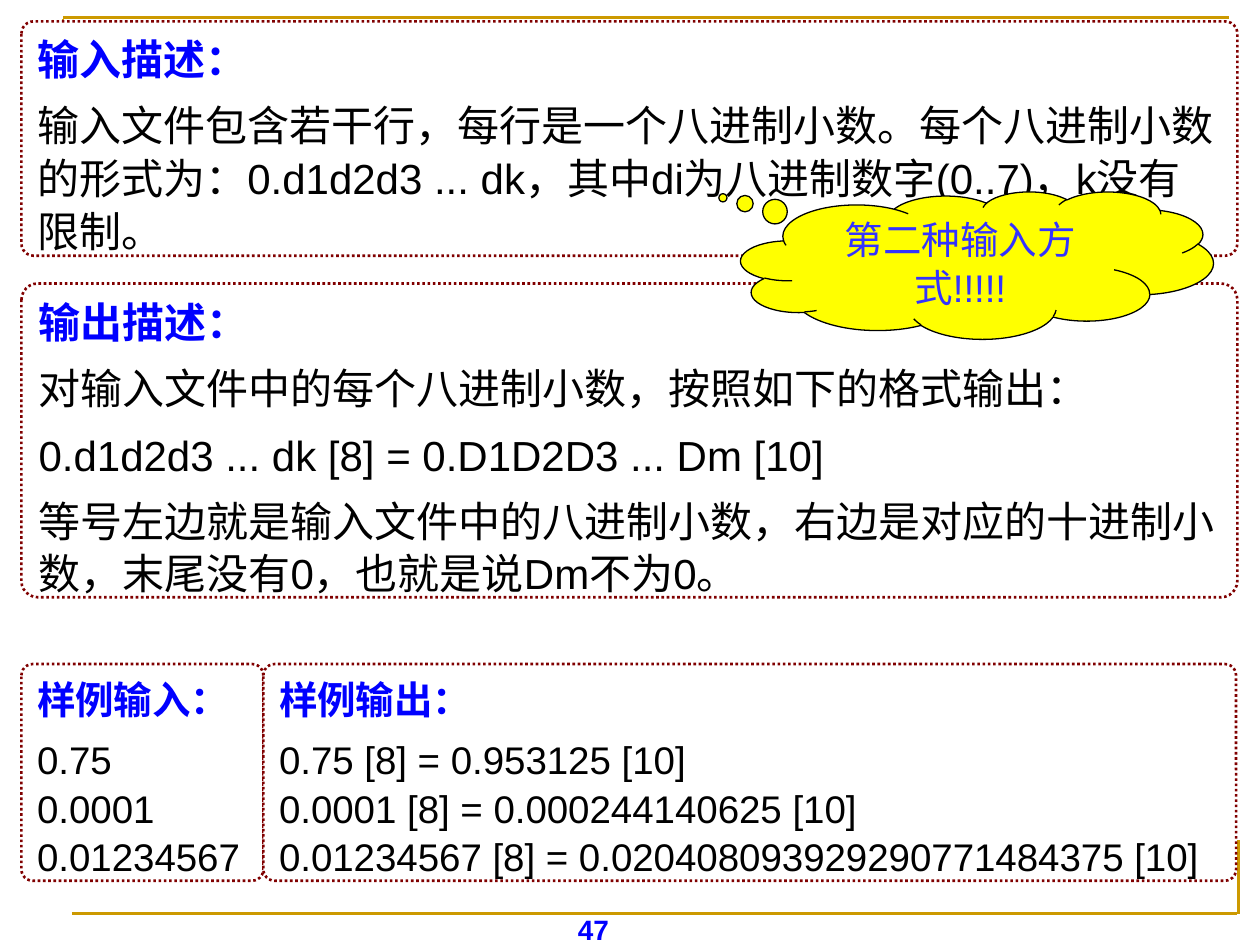
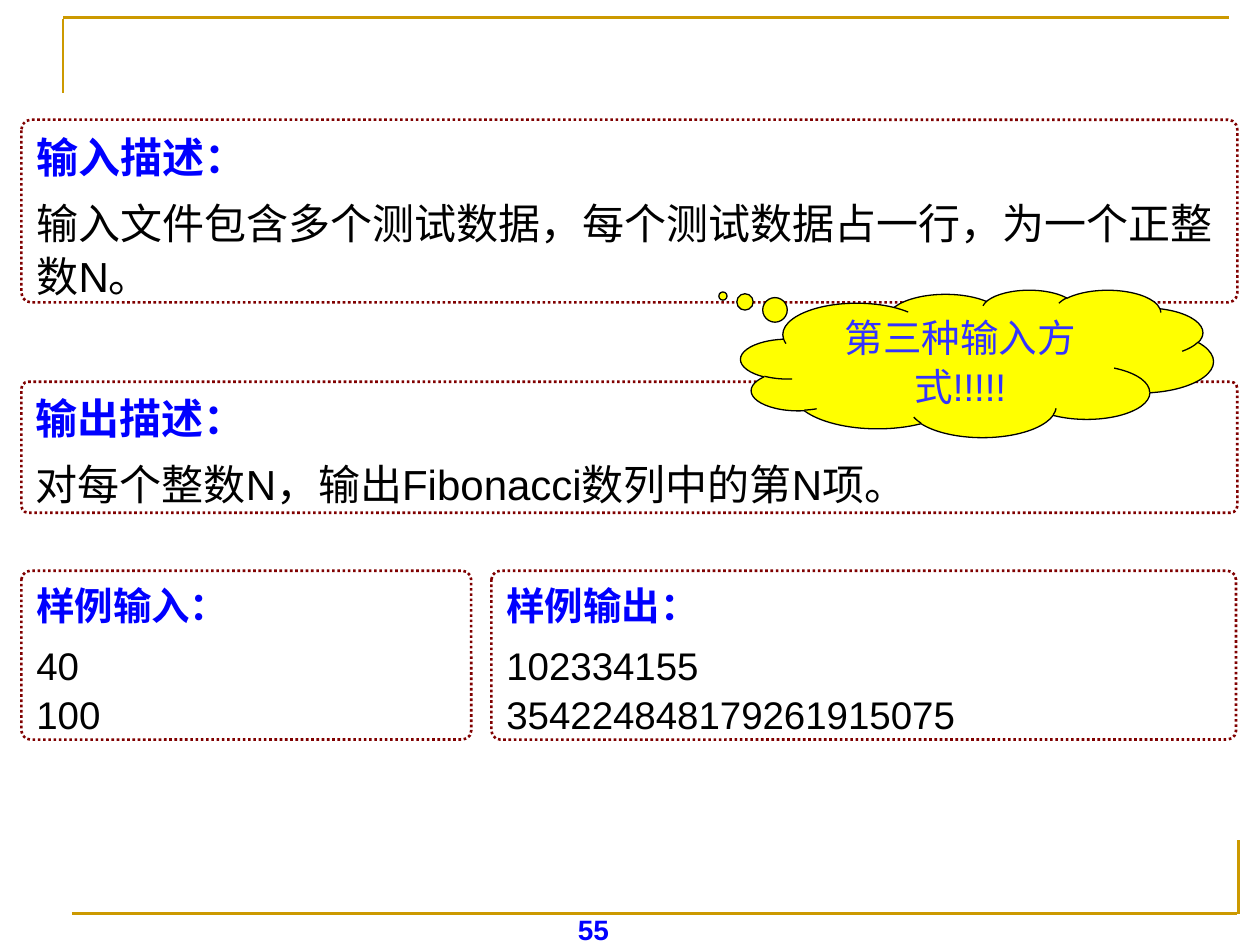
from dataclasses import dataclass

from pptx import Presentation
from pptx.dml.color import RGBColor
from pptx.enum.dml import MSO_LINE_DASH_STYLE as Dash
from pptx.enum.shapes import MSO_CONNECTOR as Connector, MSO_SHAPE as Shape
from pptx.enum.text import MSO_ANCHOR as Anchor, MSO_AUTO_SIZE as AutoSize, PP_ALIGN as Align
from pptx.oxml.ns import qn
from pptx.slide import Slide
from pptx.util import Inches, Pt

WHITE = RGBColor(0xFF, 0xFF, 0xFF)
BLACK = RGBColor(0x00, 0x00, 0x00)
GOLD = RGBColor(0xCC, 0x99, 0x00)
MAROON = RGBColor(0x80, 0x00, 0x00)
BLUE = RGBColor(0x00, 0x00, 0xFF)
VIOLET = RGBColor(0x33, 0x33, 0xFF)
YELLOW = RGBColor(0xFF, 0xFF, 0x00)

FONT = "Arial"
LINE_SPACING = 1.05
CARD_LEFT, CARD_WIDTH = 0.17, 9.65
SAMPLE_RIGHT = 9.81

# Frame lines: x1, y1, x2, y2
FRAME_LINES = [
    (0.5, 0.15, 0.5, 0.74),
    (0.5, 0.14, 9.75, 0.14),
    (9.83, 6.67, 9.83, 7.25),
    (0.57, 7.25, 9.82, 7.25),
]


@dataclass(frozen=True)
class TextStyle:
    size: float
    color: RGBColor
    bold: bool = False
    align: Align = Align.LEFT
    space_after: float = 0


@dataclass(frozen=True)
class CardStyle:
    heading: TextStyle
    body: TextStyle


@dataclass(frozen=True)
class Card:
    heading: str
    lines: list[str]
    left: float
    top: float
    width: float
    height: float
    style: CardStyle


@dataclass(frozen=True)
class Problem:
    page: str
    cards: list[Card]
    hint: str
    hint_top: float


DESCRIPTION = CardStyle(TextStyle(24, BLUE, True, space_after=7.5),
                        TextStyle(24, BLACK, space_after=7.5))
SAMPLE = CardStyle(TextStyle(22, BLUE, True, space_after=6.9), TextStyle(22, BLACK))
PAGE_NUMBER = TextStyle(16, BLUE, True, Align.CENTER)
HINT = TextStyle(22, VIOLET, align=Align.CENTER)


def description(heading: str, top: float, height: float, lines: list[str]) -> Card:
    return Card(heading, lines, CARD_LEFT, top, CARD_WIDTH, height, DESCRIPTION)


def samples(top: float, height: float, input_width: float, output_left: float,
            inputs: list[str], outputs: list[str]) -> list[Card]:
    return [
        Card("样例输入：", inputs, CARD_LEFT, top, input_width, height, SAMPLE),
        Card("样例输出：", outputs, output_left, top, SAMPLE_RIGHT - output_left, height, SAMPLE),
    ]


PROBLEMS = [
    Problem("47", [
        description("输出描述：", 2.25, 2.49, [
            "对输入文件中的每个八进制小数，按照如下的格式输出：",
            "0.d1d2d3 ... dk [8] = 0.D1D2D3 ... Dm [10]",
            "等号左边就是输入文件中的八进制小数，右边是对应的十进制小数，末尾没有0，也就是说Dm不为0。",
        ]),
        *samples(5.27, 1.72, 1.92, 2.09,
                 ["0.75", "0.0001", "0.01234567"],
                 ["0.75 [8] = 0.953125 [10]",
                  "0.0001 [8] = 0.000244140625 [10]",
                  "0.01234567 [8] = 0.020408093929290771484375 [10]"]),
        description("输入描述：", 0.17, 1.86, [
            "输入文件包含若干行，每行是一个八进制小数。每个八进制小数的形式为："
            "0.d1d2d3 ... dk，其中di为八进制数字(0..7)，k没有限制。",
        ]),
    ], "第二种输入方式!!!!!", 1.52),
    Problem("55", [
        description("输出描述：", 3.03, 1.04, ["对每个整数N，输出Fibonacci数列中的第N项。"]),
        *samples(4.53, 1.34, 3.57, 3.9,
                 ["40", "100"], ["102334155", "354224848179261915075"]),
        description("输入描述：", 0.95, 1.45, [
            "输入文件包含多个测试数据，每个测试数据占一行，为一个正整数N。",
        ]),
    ], "第三种输入方式!!!!!", 2.3),
]


def write(frame, texts: list[tuple[str, TextStyle]], inset_x: float = 0.1,
          inset_y: float = 0.05) -> None:
    frame_format = {
        "word_wrap": True, "vertical_anchor": Anchor.TOP,
        "margin_left": Inches(inset_x), "margin_right": Inches(inset_x),
        "margin_top": Inches(inset_y), "margin_bottom": Inches(inset_y),
    }
    for name, value in frame_format.items():
        setattr(frame, name, value)
    for index, (text, style) in enumerate(texts):
        paragraph = frame.paragraphs[0] if index == 0 else frame.add_paragraph()
        paragraph.alignment = style.align
        paragraph.line_spacing = LINE_SPACING
        paragraph.space_after = Pt(style.space_after)
        run = paragraph.add_run()
        run.text = text
        font_format = {"name": FONT, "size": Pt(style.size), "bold": style.bold}
        for name, value in font_format.items():
            setattr(run.font, name, value)
        run.font.color.rgb = style.color
        # East Asian characters use the same typeface
        east_asian = run.font._element.makeelement(qn("a:ea"), {"typeface": FONT})
        run.font._element.find(qn("a:latin")).addnext(east_asian)


def add_outlined(slide: Slide, kind: Shape, box: tuple[float, ...], fill: RGBColor,
                 line: RGBColor, weight: float, adjustments: list[float]):
    shape = slide.shapes.add_shape(kind, *map(Inches, box))
    shape.shadow.inherit = False
    shape.fill.solid()
    shape.fill.fore_color.rgb = fill
    shape.line.color.rgb = line
    shape.line.width = Pt(weight)
    for index, value in enumerate(adjustments):
        shape.adjustments[index] = value
    return shape


def add_frame(slide: Slide, page: str) -> None:
    for ends in FRAME_LINES:
        rule = slide.shapes.add_connector(Connector.STRAIGHT, *map(Inches, ends))
        rule.line.color.rgb = GOLD
        rule.line.width = Pt(1.5)
        properties = rule._element.spPr
        properties.append(properties.makeelement(qn("a:effectLst"), {}))
    footer = slide.shapes.add_textbox(Inches(3.67), Inches(7.18), Inches(2.08), Inches(0.25))
    write(footer.text_frame, [(page, PAGE_NUMBER)])


def add_card(slide: Slide, card: Card) -> None:
    panel = add_outlined(slide, Shape.ROUNDED_RECTANGLE,
                         (card.left, card.top, card.width, card.height),
                         WHITE, MAROON, 1.5, [0.052])
    panel.line.dash_style = Dash.ROUND_DOT
    write(panel.text_frame, [(card.heading, card.style.heading),
                             *((line, card.style.body) for line in card.lines)])
    panel.text_frame.auto_size = AutoSize.SHAPE_TO_FIT_TEXT


def add_hint(slide: Slide, text: str, top: float) -> None:
    cloud = add_outlined(slide, Shape.CLOUD_CALLOUT, (5.88, top, 3.75, 1.17),
                         YELLOW, BLACK, 0.75, [-0.538, -0.457])
    write(cloud.text_frame, [(text, HINT)], 0, 0)


def main() -> None:
    deck = Presentation()
    deck.slide_width, deck.slide_height = Inches(10), Inches(7.5)
    for problem in PROBLEMS:
        slide = deck.slides.add_slide(deck.slide_layouts[6])
        add_frame(slide, problem.page)
        for card in problem.cards:
            add_card(slide, card)
        add_hint(slide, problem.hint, problem.hint_top)
    deck.save("out.pptx")


if __name__ == "__main__":
    main()
